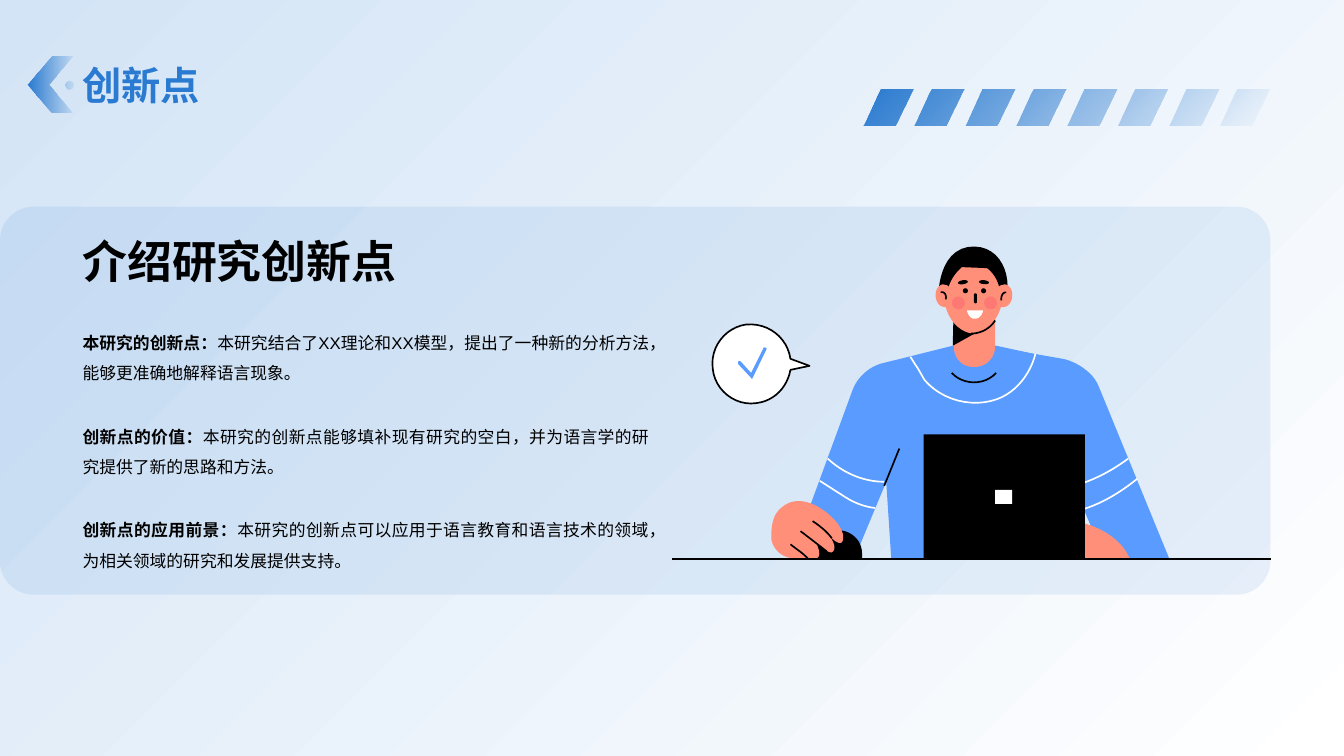
from lxml.etree import SubElement
from pptx import Presentation
from pptx.dml.color import RGBColor
from pptx.enum.shapes import MSO_CONNECTOR, MSO_SHAPE
from pptx.enum.text import MSO_ANCHOR, MSO_AUTO_SIZE, PP_ALIGN
from pptx.oxml.ns import qn
from pptx.util import Inches, Pt

ACCENT = RGBColor(0x29, 0x7A, 0xD0)
PALE_BLUE = RGBColor(0xD3, 0xE4, 0xF6)
SWEATER = RGBColor(0x59, 0x9B, 0xFF)
SKIN = RGBColor(0xFF, 0x8F, 0x78)
BLUSH = RGBColor(0xFF, 0x59, 0x70)
BLACK = RGBColor(0, 0, 0)
WHITE = RGBColor(0xFF, 0xFF, 0xFF)
STROKE = 1.2
CURVE_STEPS = 12

INNOVATIONS = [
    ("本研究的创新点：", "本研究结合了XX理论和XX模型，提出了一种新的分析方法，能够更准确地解释语言现象。"),
    ("创新点的价值：", "本研究的创新点能够填补现有研究的空白，并为语言学的研究提供了新的思路和方法。"),
    ("创新点的应用前景：", "本研究的创新点可以应用于语言教育和语言技术的领域，为相关领域的研究和发展提供支持。"),
]


def set_last_alpha(element, percent):
    color = element.xpath(".//a:srgbClr")[-1]
    SubElement(color, qn("a:alpha")).set("val", str(percent * 1000))


def set_gradient(fill, first, last, angle):
    fill.gradient()
    fill.gradient_angle = angle
    for stop, color in zip(fill.gradient_stops, (first, last)):
        stop.color.rgb = color


def paint(shape, fill, alpha=100):
    shape.shadow.inherit = False
    shape.line.fill.background()
    shape.fill.solid()
    shape.fill.fore_color.rgb = fill
    if alpha < 100:
        set_last_alpha(shape.element, alpha)


def flatten(outline):
    """Turn points (x, y) and cubic curves (x1, y1, x2, y2, x, y) into EMU points."""
    points = [outline[0]]
    for segment in outline[1:]:
        if len(segment) == 2:
            points.append(segment)
            continue
        x0, y0 = points[-1]
        x1, y1, x2, y2, x3, y3 = segment
        for step in range(1, CURVE_STEPS + 1):
            t = step / CURVE_STEPS
            a, b, c, d = (1 - t) ** 3, 3 * t * (1 - t) ** 2, 3 * t * t * (1 - t), t ** 3
            points.append((a * x0 + b * x1 + c * x2 + d * x3,
                           a * y0 + b * y1 + c * y2 + d * y3))
    return [(Inches(x), Inches(y)) for x, y in points]


def build_outlines(slide, outlines, close=True):
    first, *others = [flatten(outline) for outline in outlines]
    builder = slide.shapes.build_freeform(*first[0])
    builder.add_line_segments(first[1:], close=close)
    for points in others:
        builder.move_to(*points[0])
        builder.add_line_segments(points[1:], close=close)
    return builder.convert_to_shape()


def add_patch(slide, fill, *outline):
    patch = build_outlines(slide, [outline])
    paint(patch, fill)
    return patch


def add_stroke(slide, color, *outline):
    stroke = build_outlines(slide, [outline], close=False)
    stroke.shadow.inherit = False
    stroke.fill.background()
    stroke.line.color.rgb = color
    stroke.line.width = Pt(STROKE)


def add_fading(slide, outlines, angle, end_alpha):
    band = build_outlines(slide, outlines)
    paint(band, ACCENT)
    set_gradient(band.fill, ACCENT, ACCENT, angle)
    set_last_alpha(band.element, end_alpha)


def add_preset(slide, kind, box, fill, alpha=100, rotation=0):
    preset = slide.shapes.add_shape(kind, *map(Inches, box))
    paint(preset, fill, alpha)
    preset.rotation = rotation
    return preset


def add_line(slide, x1, y1, x2, y2, width):
    line = slide.shapes.add_connector(MSO_CONNECTOR.STRAIGHT, *map(Inches, (x1, y1, x2, y2)))
    line.line.color.rgb = BLACK
    line.line.width = Pt(width)
    SubElement(line.element.spPr, qn("a:effectLst"))


def add_text(slide, box, runs, size, color, anchor=MSO_ANCHOR.TOP):
    """Write (text, bold) runs as one paragraph."""
    frame = slide.shapes.add_textbox(*map(Inches, box)).text_frame
    frame.word_wrap = True
    frame.vertical_anchor = anchor
    paragraph = frame.paragraphs[0]
    for text, bold in runs:
        run = paragraph.add_run()
        run.text = text
        run.font.name = "Arial"
        run.font.size = Pt(size)
        run.font.bold = bold
        run.font.color.rgb = color
    return frame


def add_header(slide):
    stripes = [[(x, 0.89), (x + 0.33, 0.89), (x + 0.15, 1.24), (x - 0.17, 1.24)]
               for x in (8.73 + 0.505 * i for i in range(8))]
    add_fading(slide, stripes, 315, 0)
    dot = [(0.68, 0.8), (0.71, 0.8, 0.73, 0.82, 0.73, 0.84), (0.73, 0.87, 0.71, 0.89, 0.68, 0.89),
           (0.66, 0.89, 0.64, 0.87, 0.64, 0.84), (0.64, 0.82, 0.66, 0.8, 0.68, 0.8)]
    chevron = [(0.51, 0.56), (0.72, 0.56), (0.49, 0.84), (0.72, 1.12), (0.51, 1.12), (0.27, 0.84)]
    add_fading(slide, [dot, chevron], 0, 10)
    add_text(slide, (0.72, 0, 11.88, 1.12), [("创新点", True)], 28, ACCENT, MSO_ANCHOR.BOTTOM)


def add_panel(slide):
    panel = add_preset(slide, MSO_SHAPE.ROUNDED_RECTANGLE, (0, 2.05, 12.6, 3.85), ACCENT, 10)
    panel.adjustments[0] = 0.087
    add_text(slide, (0.72, 2.27, 6.89, 0.64), [("介绍研究创新点", True)], 32, BLACK, MSO_ANCHOR.MIDDLE)
    for i, (label, detail) in enumerate(INNOVATIONS):
        frame = add_text(slide, (0.72, 3.15 + 0.93 * i, 5.82, 0.67),
                         [(label, True), (detail, False)], 12, BLACK)
        frame.auto_size = MSO_AUTO_SIZE.SHAPE_TO_FIT_TEXT
        frame.paragraphs[0].alignment = PP_ALIGN.JUSTIFY
        frame.paragraphs[0].line_spacing = 1.5


def add_speech_bubble(slide):
    bubble = add_patch(slide, WHITE, (8.03, 3.63), (7.84, 3.56), (7.81, 3.35, 7.62, 3.2, 7.4, 3.22),
                       (7.19, 3.25, 7.04, 3.45, 7.07, 3.66), (7.09, 3.87, 7.29, 4.03, 7.5, 4),
                       (7.68, 3.98, 7.81, 3.84, 7.84, 3.67))
    bubble.line.color.rgb = BLACK
    bubble.line.width = Pt(STROKE)
    add_patch(slide, SWEATER, (7.46, 3.76), (7.32, 3.61), (7.32, 3.6, 7.32, 3.59, 7.33, 3.58),
              (7.33, 3.58, 7.34, 3.58, 7.35, 3.59), (7.45, 3.7), (7.57, 3.46),
              (7.57, 3.45, 7.58, 3.44, 7.59, 3.45), (7.6, 3.45, 7.61, 3.46, 7.6, 3.47))


def add_body(slide):
    add_patch(slide, SWEATER, (9.65, 3.38), (8.73, 3.61), (8.61, 3.65, 8.51, 3.74, 8.46, 3.86),
              (7.84, 5.55), (8.47, 5.55), (8.79, 4.78), (8.84, 5.55), (10.68, 5.55),
              (10.6, 4.23), (10.57, 3.58))
    add_patch(slide, SWEATER, (10.9, 3.84), (10.84, 3.68, 10.65, 3.58, 10.54, 3.56),
              (10.08, 3.48), (10.96, 5.55), (11.6, 5.55))
    add_stroke(slide, WHITE, (9.03, 3.54), (9.08, 3.62), (9.11, 3.66, 9.14, 3.72, 9.17, 3.77),
               (9.34, 3.97, 9.64, 4.05, 9.89, 3.96), (10.08, 3.89, 10.22, 3.71, 10.27, 3.51))
    add_stroke(slide, WHITE, (8.13, 4.77), (8.38, 4.93), (8.49, 5, 8.59, 5.03, 8.68, 5.04))
    add_stroke(slide, WHITE, (8.21, 4.55), (8.36, 4.69, 8.56, 4.78, 8.77, 4.78))
    add_stroke(slide, WHITE, (10.65, 4.82), (10.84, 4.77, 11.03, 4.67, 11.19, 4.55))
    add_stroke(slide, WHITE, (10.75, 5.05), (10.94, 4.99, 11.12, 4.88, 11.28, 4.75))


def add_hands_and_mouse(slide):
    add_patch(slide, BLACK, (8.27, 5.26), (8.31, 5.26), (8.44, 5.26, 8.55, 5.36, 8.55, 5.49),
              (8.55, 5.54), (8.04, 5.54), (8.04, 5.49), (8.04, 5.36, 8.14, 5.26, 8.27, 5.26))
    add_patch(slide, SKIN, (10.5, 5.16), (10.75, 5.15, 11.1, 5.28, 11.21, 5.55), (10.5, 5.55))
    add_patch(slide, SKIN, (7.67, 5.16), (7.65, 5.22, 7.65, 5.29, 7.65, 5.35),
              (7.67, 5.46, 7.77, 5.54, 7.88, 5.54), (8.06, 5.54), (8.18, 5.56, 8.1, 5.4, 8.1, 5.4),
              (8.1, 5.4, 8.22, 5.49, 8.25, 5.48), (8.32, 5.44, 8.23, 5.32, 8.23, 5.32),
              (8.23, 5.32, 8.34, 5.44, 8.36, 5.36), (8.38, 5.28, 8.31, 5.19, 8.26, 5.14),
              (8.16, 5.04, 8, 4.94, 7.85, 4.98), (7.76, 5.01, 7.69, 5.08, 7.67, 5.16))
    add_stroke(slide, BLACK, (8.06, 5.17), (8.12, 5.21, 8.2, 5.27, 8.25, 5.34))
    add_stroke(slide, BLACK, (7.94, 5.27), (7.98, 5.3, 8.11, 5.4, 8.2, 5.47))
    add_stroke(slide, BLACK, (7.84, 5.4), (7.9, 5.45, 7.97, 5.49, 8.02, 5.55))
    add_line(slide, 8.77, 4.82, 8.92, 4.45, STROKE)


def add_head(slide):
    add_stroke(slide, BLACK, (9.44, 3.7), (9.55, 3.82, 9.76, 3.83, 9.88, 3.7))
    add_patch(slide, SKIN, (9.46, 3.02), (9.87, 3.02), (9.87, 3.44), (9.87, 3.55, 9.78, 3.64, 9.67, 3.64),
              (9.65, 3.64), (9.54, 3.64, 9.46, 3.55, 9.46, 3.44))
    add_patch(slide, BLACK, (9.79, 3.24), (9.45, 3.43), (9.46, 3.02))
    add_patch(slide, SKIN, (9.95, 2.89), (9.95, 3.17, 9.76, 3.31, 9.66, 3.31),
              (9.55, 3.31, 9.36, 3.19, 9.36, 2.89), (9.36, 2.69, 9.5, 2.53, 9.66, 2.53),
              (9.82, 2.53, 9.95, 2.69, 9.95, 2.89))
    add_patch(slide, BLACK, (9.92, 2.91), (9.91, 2.74, 9.79, 2.66, 9.79, 2.66), (9.54, 2.65),
              (9.45, 2.73, 9.42, 2.8, 9.39, 2.9), (9.31, 2.89), (9.31, 2.89, 9.32, 2.5, 9.6, 2.45),
              (9.88, 2.41, 10.02, 2.66, 9.99, 2.91))
    for ear_x, tilt in ((9.28, -6.4), (9.87, 6.4)):
        add_preset(slide, MSO_SHAPE.OVAL, (ear_x, 2.82, 0.17, 0.23), SKIN, rotation=tilt)
    add_stroke(slide, BLACK, (9.33, 2.9), (9.37, 2.89, 9.39, 2.93, 9.38, 2.97))
    add_stroke(slide, BLACK, (9.98, 2.9), (9.94, 2.9, 9.93, 2.94, 9.93, 2.98))
    for eye_x, brow_x, cheek_x, tilt in ((9.55, 9.5, 9.44, -9.1), (9.73, 9.71, 9.76, 6)):
        add_preset(slide, MSO_SHAPE.OVAL, (eye_x, 2.86, 0.05, 0.05), BLACK)
        add_preset(slide, MSO_SHAPE.OVAL, (brow_x, 2.78, 0.1, 0.04), BLACK, rotation=tilt)
        add_preset(slide, MSO_SHAPE.OVAL, (cheek_x, 2.94, 0.13, 0.13), BLUSH, 40)
    nose = add_preset(slide, MSO_SHAPE.ROUNDED_RECTANGLE, (9.66, 2.91, 0.03, 0.1), BLACK)
    nose.adjustments[0] = 0.5
    add_patch(slide, WHITE, (9.59, 3.08), (9.62, 3.21, 9.74, 3.17, 9.75, 3.08))
    add_stroke(slide, BLACK, (9.63, 3.31), (9.73, 3.31, 9.82, 3.26, 9.87, 3.18))


def add_desk(slide):
    add_preset(slide, MSO_SHAPE.RECTANGLE, (9.16, 4.31, 1.6, 1.23), BLACK)
    add_preset(slide, MSO_SHAPE.RECTANGLE, (9.87, 4.86, 0.17, 0.14), WHITE)
    add_line(slide, 6.67, 5.55, 12.61, 5.55, 1.4)


def main():
    deck = Presentation()
    deck.slide_width, deck.slide_height = Inches(13.33), Inches(7.5)
    slide = deck.slides.add_slide(deck.slide_layouts[6])
    set_gradient(slide.background.fill, PALE_BLUE, WHITE, 315)
    for add_part in (add_header, add_panel, add_speech_bubble, add_body,
                     add_hands_and_mouse, add_head, add_desk):
        add_part(slide)
    deck.save("out.pptx")


if __name__ == "__main__":
    main()
